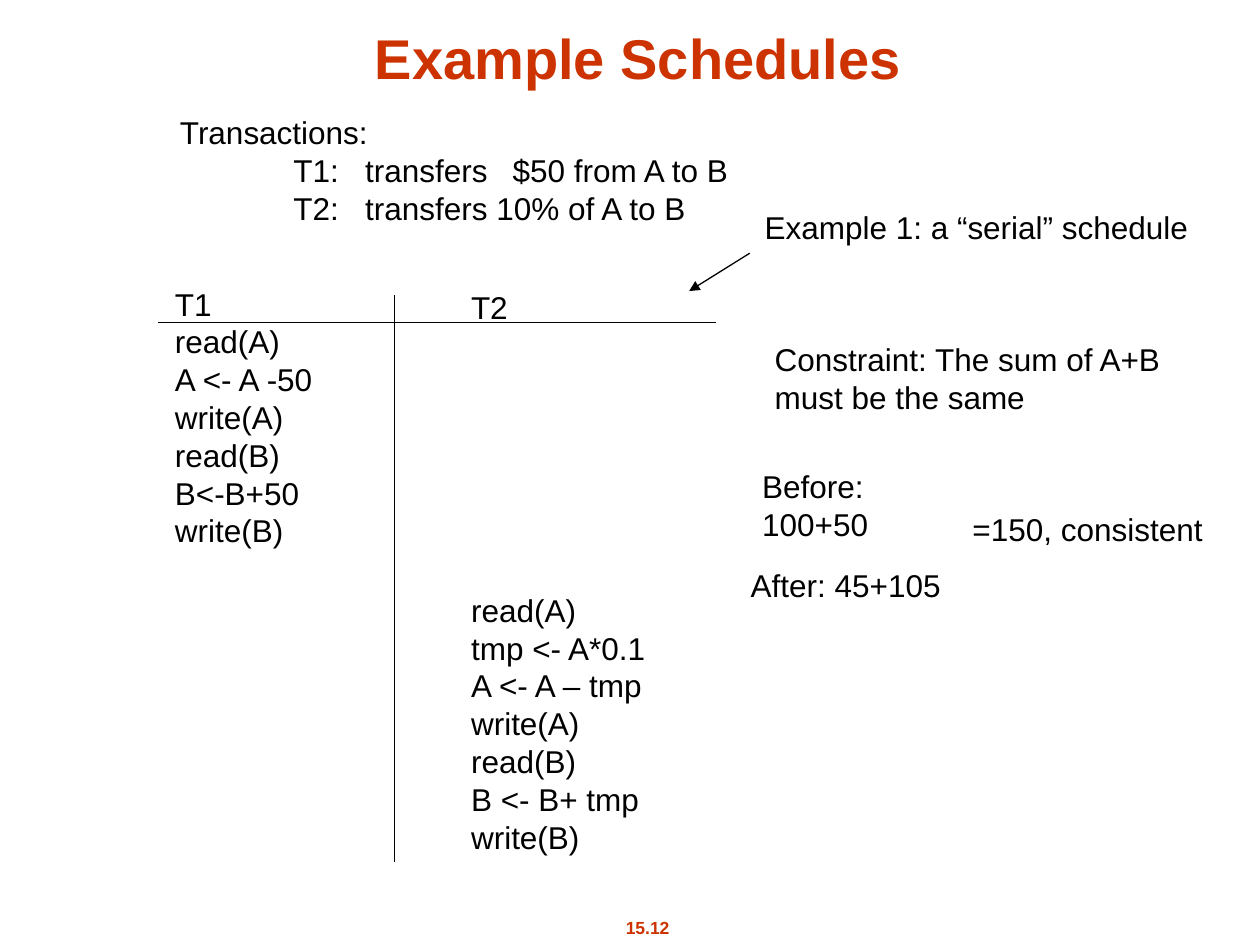
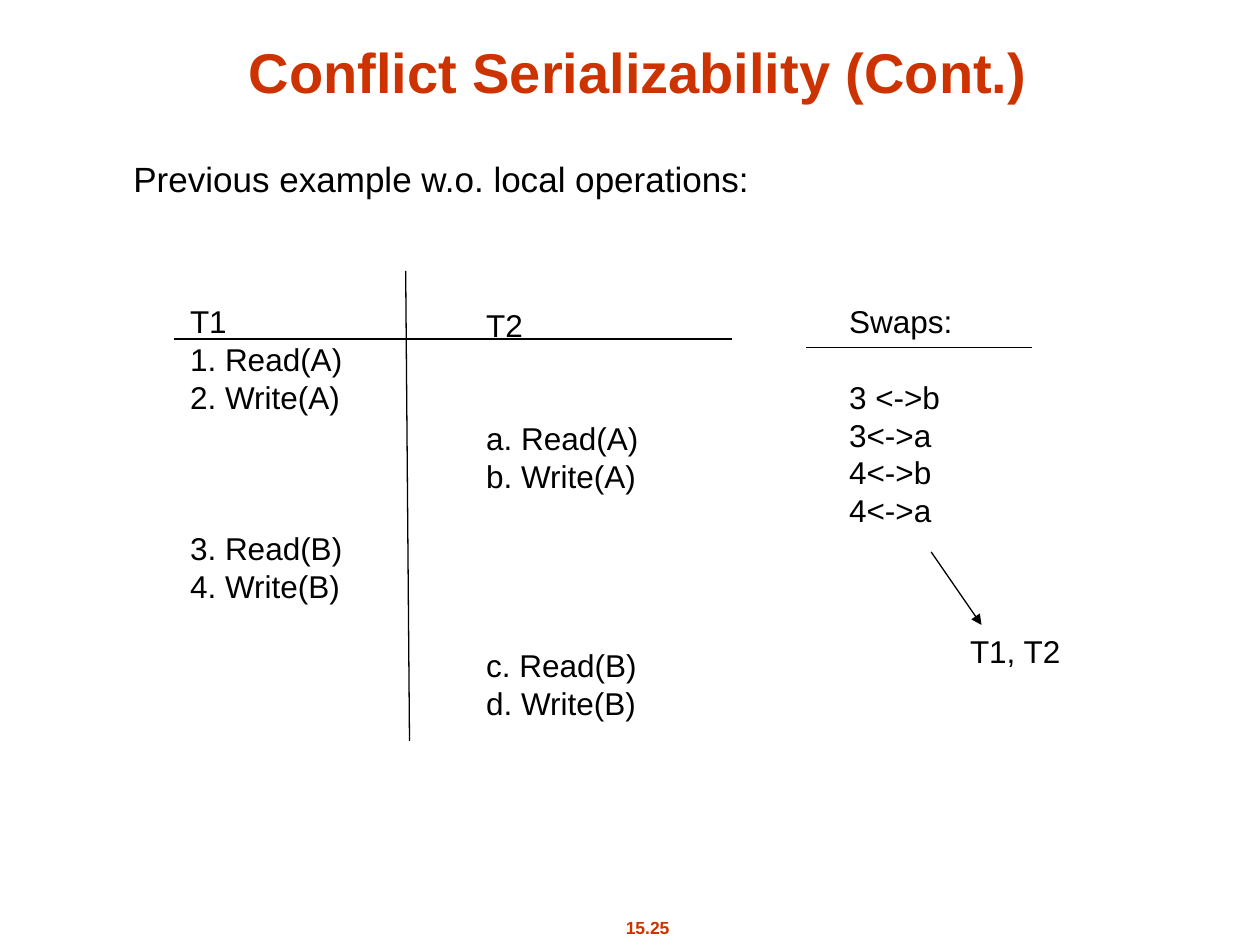
from pptx import Presentation
from pptx.dml.color import RGBColor
from pptx.enum.shapes import MSO_CONNECTOR
from pptx.enum.text import MSO_ANCHOR, MSO_AUTO_SIZE, PP_ALIGN
from pptx.oxml.ns import qn
from pptx.util import Pt
from lxml.etree import SubElement

PX = 9144  # 100 px to the inch
FONT = "Arial"
BLACK = RGBColor(0x00, 0x00, 0x00)
RUST = RGBColor(0xCC, 0x33, 0x00)
LINE_HEIGHT = 1.2
TITLE_ONLY = 5


def add_text(slide, box, lines, size=18, gaps={}, tabs=(), color=BLACK,
             bold=False, align=PP_ALIGN.LEFT):
    """Add a text box; gaps maps a line's index to the empty lines above it."""
    shape = slide.shapes.add_textbox(*(n * PX for n in box))
    frame = shape.text_frame
    frame.word_wrap = False
    frame.text = "\n".join(lines)
    for index, paragraph in enumerate(frame.paragraphs):
        paragraph.alignment = align
        paragraph.line_spacing = Pt(size * LINE_HEIGHT)
        if index in gaps:
            paragraph.space_before = Pt(gaps[index] * size * LINE_HEIGHT)
        if tabs:
            tab_list = SubElement(paragraph._p.get_or_add_pPr(), qn("a:tabLst"))
            for tab in tabs:
                SubElement(tab_list, qn("a:tab"), pos=str(tab * PX), algn="l")
        font = paragraph.font
        font.name, font.size, font.bold = FONT, Pt(size), bold
        font.color.rgb = color


def add_line(slide, ends, arrow=False):
    connector = slide.shapes.add_connector(
        MSO_CONNECTOR.STRAIGHT, *(n * PX for n in ends))
    connector.line.color.rgb = BLACK
    connector.line.width = Pt(0.75)
    if arrow:
        SubElement(connector.line._get_or_add_ln(), qn("a:tailEnd"), type="triangle")
    SubElement(connector._element.spPr, qn("a:effectLst"))


presentation = Presentation()
presentation.slide_width = 1000 * PX
presentation.slide_height = 750 * PX

# Shared title and page number
slides = []
for title_text, title_top, page in [
    ("Example Schedules", 10, "15.12"),
    ("Conflict Serializability (Cont.)", 21, "15.25"),
]:
    slide = presentation.slides.add_slide(presentation.slide_layouts[TITLE_ONLY])
    title = slide.shapes.title
    title.left, title.top, title.width, title.height = (
        n * PX for n in (65, title_top, 883, 67))
    frame = title.text_frame
    frame.text = title_text
    frame.auto_size = MSO_AUTO_SIZE.NONE
    frame.vertical_anchor = MSO_ANCHOR.BOTTOM
    paragraph = frame.paragraphs[0]
    paragraph.alignment = PP_ALIGN.CENTER
    font = paragraph.font
    font.name, font.size, font.bold = FONT, Pt(32), True
    font.color.rgb = RUST
    add_text(slide, (461, 723, 106, 27), [page], size=10, color=RUST,
             bold=True, align=PP_ALIGN.CENTER)
    slides.append(slide)
serial, conflict = slides

# Serial schedule
add_text(serial, (133, 85, 459, 100), [
    "Transactions:",
    "\tT1:\ttransfers\t$50 from A to B",
    "\tT2:\ttransfers 10% of A to B",
], tabs=(90, 147, 264))
add_text(serial, (129, 221, 133, 220), [
    "T1", "read(A)", "A <- A -50", "write(A)", "read(B)", "B<-B+50", "write(B)"])
add_text(serial, (364, 224, 159, 460), [
    "T2", "read(A)", "tmp <- A*0.1", "A <- A – tmp", "write(A)", "read(B)",
    "B <- B+ tmp", "write(B)"], gaps={1: 7})
add_line(serial, (125, 256, 568, 256))
add_line(serial, (313, 234, 313, 684))

add_text(serial, (597, 160, 356, 40), ["Example 1: a “serial” schedule"])
add_line(serial, (595, 201, 547, 231), arrow=True)
add_text(serial, (605, 265, 334, 70),
         ["Constraint: The sum of A+B", "must be the same"])
add_text(serial, (595, 366, 191, 40), ["Before: 100+50"])
add_text(serial, (762, 400, 203, 40), ["=150, consistent"])
add_text(serial, (586, 444, 171, 40), ["After: 45+105"])

# Schedule with swaps
add_text(conflict, (96, 120, 510, 44),
         ["Previous example w.o. local operations:"], size=20)
add_text(conflict, (141, 235, 141, 250),
         ["T1", "1. Read(A)", "2. Write(A)", "3. Read(B)", "4. Write(B)"],
         gaps={3: 3})
add_text(conflict, (376, 238, 141, 340),
         ["T2", "a. Read(A)", "b. Write(A)", "c. Read(B)", "d. Write(B)"],
         gaps={1: 2, 3: 4})
add_line(conflict, (138, 269, 581, 269))
add_line(conflict, (322, 215, 325, 588))

add_text(conflict, (664, 235, 109, 220),
         ["Swaps:", "3 <->b", "3<->a", "4<->b", "4<->a"], gaps={1: 1})
add_line(conflict, (640, 276, 819, 276))
add_line(conflict, (739, 438, 779, 496), arrow=True)
add_text(conflict, (760, 497, 92, 40), ["T1, T2"])

presentation.save("out.pptx")
